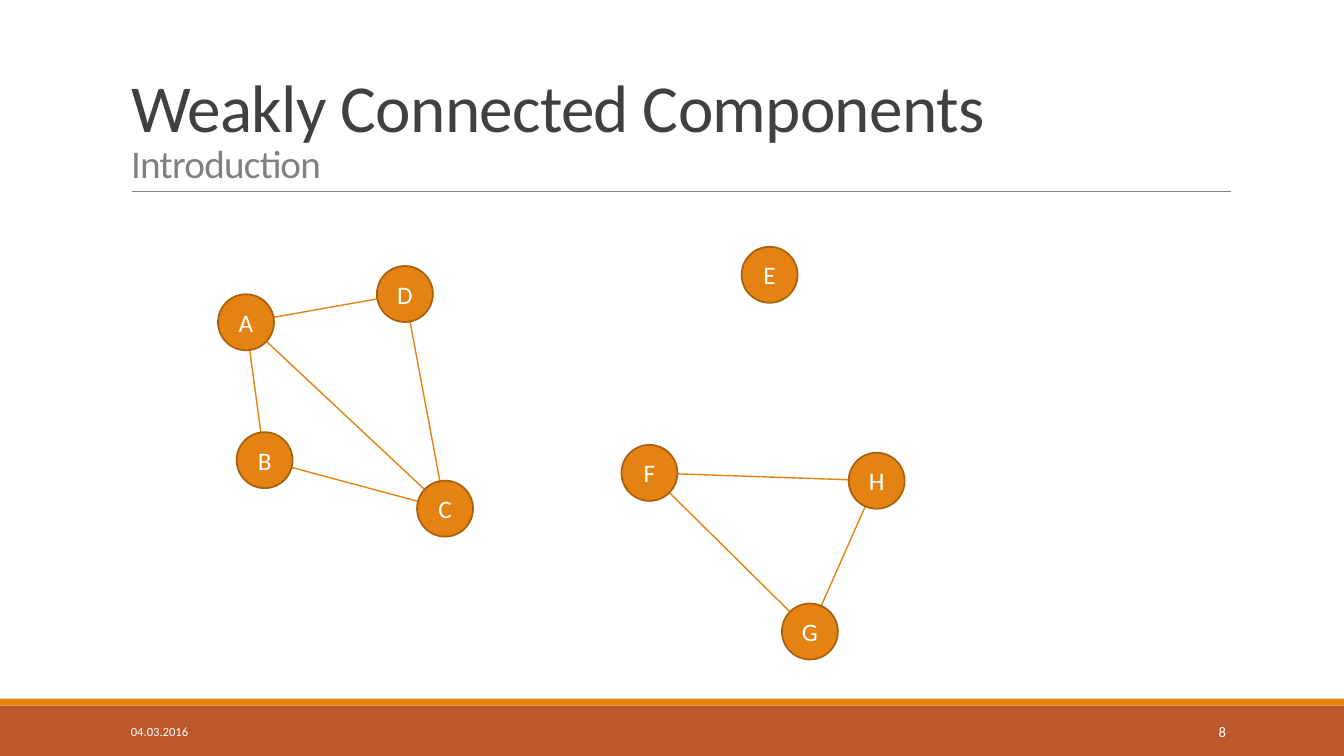
import pptx
import pptx.util
import pptx.dml.color
import pptx.enum.shapes
import pptx.enum.text
import pptx.oxml.ns
import lxml.etree

Pt = pptx.util.Pt
Shape = pptx.enum.shapes.MSO_SHAPE
Anchor = pptx.enum.text.MSO_ANCHOR
Align = pptx.enum.text.PP_ALIGN

COLORS = {
    "orange": "E48312",
    "rust": "BD582C",
    "outline": "A9610D",
    "gray": "808080",
    "dark": "404040",
    "white": "FFFFFF",
}


def color(name):
    return pptx.dml.color.RGBColor.from_string(COLORS[name])


def write(para, text, size=18, ink="white", align=Align.LEFT, spacing=0):
    para.alignment = align
    span = para.add_run()
    span.text = text
    span.font.size = Pt(size)
    span.font.name = "Calibri"
    span.font.color.rgb = color(ink)
    if spacing:
        span.font._element.set("spc", str(spacing))


deck = pptx.Presentation()
deck.slide_width, deck.slide_height = Pt(960), Pt(540)
page = deck.slides.add_slide(deck.slide_layouts[5])

for top, height, fill in [(504, 36, "rust"), (499, 5, "orange")]:
    band = page.shapes.add_shape(Shape.RECTANGLE, 0, Pt(top), Pt(960), Pt(height))
    band.shadow.inherit = False
    band.fill.solid()
    band.fill.fore_color.rgb = color(fill)
    band.line.fill.background()

title = page.shapes.title
title.left, title.top, title.width, title.height = Pt(86.4), Pt(22.3), Pt(792), Pt(114.5)
frame = title.text_frame
frame.auto_size = pptx.enum.text.MSO_AUTO_SIZE.NONE
frame.word_wrap = True
frame.vertical_anchor = Anchor.BOTTOM
para = frame.paragraphs[0]
para.line_spacing = 0.85
write(para, "Weakly Connected Components", size=48, ink="dark", spacing=-50)
para.add_line_break()
write(para, "Introduction", size=28, ink="gray", spacing=-50)

for text, left, width, size, align in [
    ("04.03.2016", 86.4, 194.4, 9, Align.LEFT),
    ("8", 779.8, 103, 10.5, Align.RIGHT),
]:
    box = page.shapes.add_textbox(Pt(left), Pt(508.3), Pt(width), Pt(28.8))
    box.text_frame.word_wrap = True
    box.text_frame.vertical_anchor = Anchor.MIDDLE
    write(box.text_frame.paragraphs[0], text, size=size, align=align)

centers = {
    "A": (175.7, 230.2),
    "B": (189, 328.7),
    "C": (317.9, 363.3),
    "D": (289.2, 210),
    "E": (549.7, 196.3),
    "F": (463.9, 337.8),
    "G": (578.5, 451.1),
    "H": (626.2, 343.4),
}
edges = ["AD", "AB", "BC", "CD", "AC", "FH", "FG", "GH"]

lines = [((94.3, 136.8), (879.1, 136.8), "gray", 0.5)]
lines += [(centers[start], centers[end], "orange", 1) for start, end in edges]
for start, end, ink, weight in lines:
    line = page.shapes.add_connector(
        pptx.enum.shapes.MSO_CONNECTOR.STRAIGHT, *map(Pt, start + end)
    )
    line.line.color.rgb = color(ink)
    line.line.width = Pt(weight)
    lxml.etree.SubElement(line._element.spPr, pptx.oxml.ns.qn("a:effectLst"))

diameter = 40
for name, (x, y) in centers.items():
    node = page.shapes.add_shape(
        Shape.OVAL, Pt(x - diameter / 2), Pt(y - diameter / 2), Pt(diameter), Pt(diameter)
    )
    node.shadow.inherit = False
    node.fill.solid()
    node.fill.fore_color.rgb = color("orange")
    node.line.color.rgb = color("outline")
    node.line.width = Pt(1.25)
    node.text_frame.vertical_anchor = Anchor.MIDDLE
    write(node.text_frame.paragraphs[0], name, align=Align.CENTER)

deck.save("out.pptx")
